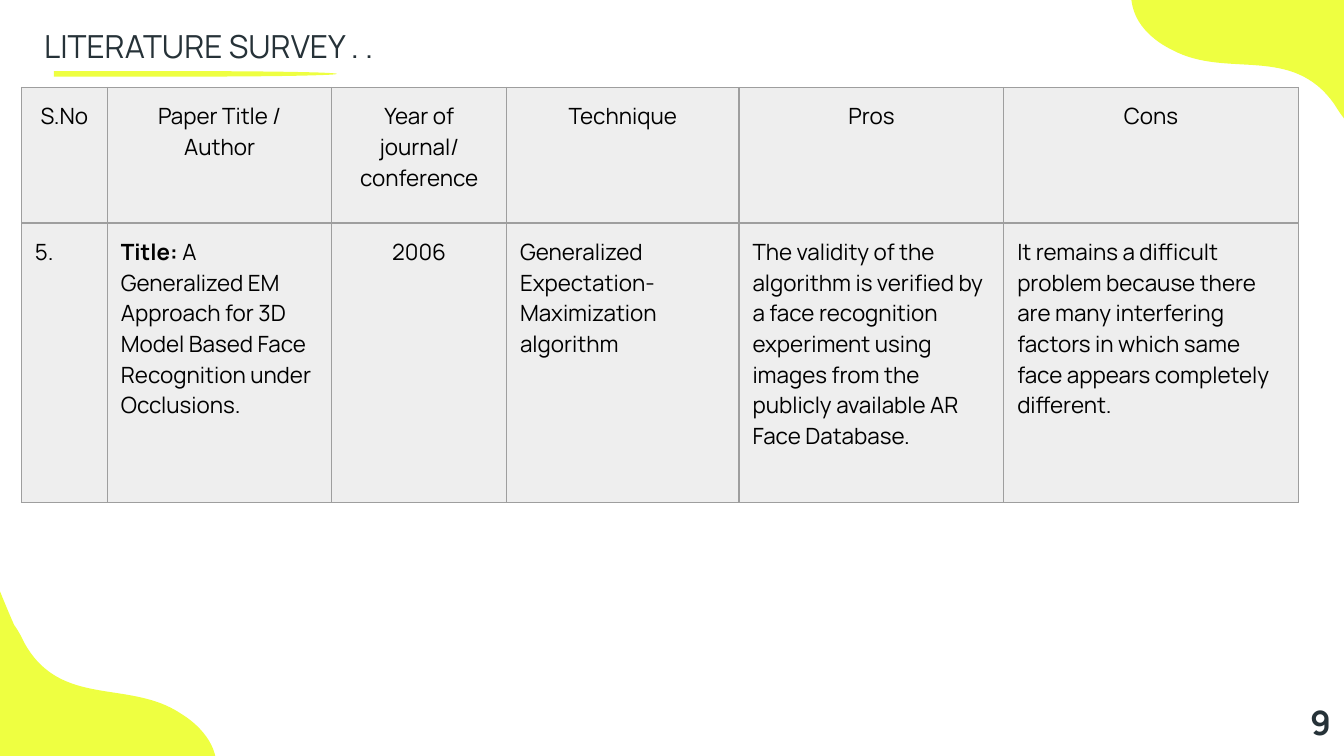
from lxml import etree
from pptx import Presentation
from pptx import util as u
from pptx.dml.color import RGBColor
from pptx.enum import shapes, text
from pptx.oxml.ns import qn

# The slide is a grid of 1000 columns; rows have the same pitch.
WIDTH = u.Inches(10)
HEIGHT = WIDTH * 9 // 16
UNIT = WIDTH // 1000

FONT = "Manrope"
LIME, INK, BLACK = "EEFF41", "263238", "000000"
CELL_FILL, CELL_LINE = "EEEEEE", "9E9E9E"
CENTER, LEFT = text.PP_ALIGN.CENTER, text.PP_ALIGN.LEFT

BLOB_SIZE = (459, 399)
BLOB_START = (367, 0)
# Each row is one curve: two control points and an end point.
BLOB_CURVES = [
    [(358, 0), (347, 3), (336, 10)],
    [(296, 33), (293, 88), (238, 91)],
    [(233, 91), (228, 91), (222, 92)],
    [(197, 91), (172, 88), (148, 88)],
    [(120, 88), (92, 92), (62, 113)],
    [(10, 146), (-1, 195), (9, 253)],
    [(27, 352), (99, 399), (183, 399)],
    [(219, 399), (255, 390), (291, 373)],
    [(406, 322), (458, 203), (433, 83)],
    [(425, 47), (402, 0), BLOB_START],
]

COLUMNS = [64, 167, 130, 173, 197, 219]
ROWS = [101, 208]
HEADINGS = ["S.No", "Paper Title / Author", "Year of journal/ conference",
            "Technique", "Pros", "Cons"]
PAPER = [
    "5.",
    [("Title: ", True),
     ("A Generalized EM Approach for 3D Model Based Face Recognition "
      "under Occlusions.", False)],
    "2006",
    "Generalized Expectation-Maximization algorithm",
    "The validity of the algorithm is verified by a face recognition experiment "
    "using images from the publicly available AR Face Database.",
    "It remains a difficult problem because there are many interfering factors "
    "in which same face appears completely different.",
]


def color(hex_string):
    return RGBColor.from_string(hex_string)


def grid(*values):
    """Turn grid units into slide lengths."""
    return [u.Emu(int(value * UNIT)) for value in values]


def write(frame, content, size=12, ink=BLACK, bold=False, align=LEFT):
    """Fill a text frame with a string or a list of (text, bold) runs."""
    frame.word_wrap = True
    frame.margin_left = frame.margin_right = u.Inches(0.1)
    frame.margin_top = frame.margin_bottom = u.Inches(0.1)
    paragraph = frame.paragraphs[0]
    paragraph.alignment = align
    for words, heavy in [(content, bold)] if isinstance(content, str) else content:
        run = paragraph.add_run()
        run.text = words
        run.font.name = FONT
        run.font.size = u.Pt(size)
        run.font.bold = heavy
        run.font.color.rgb = color(ink)


def paint(shape, fill):
    shape.shadow.inherit = False
    shape.fill.solid()
    shape.fill.fore_color.rgb = color(fill)
    shape.line.fill.background()


def add_blob(slide, left, top, rotation):
    width, height = BLOB_SIZE
    builder = slide.shapes.build_freeform(0, 0, scale=UNIT)
    builder.add_line_segments([(width, 0), (width, height), (0, height)])
    blob = builder.convert_to_shape(*grid(left, top))
    outline = blob._element.xpath(".//a:path")[0]
    for segment in list(outline):
        outline.remove(segment)
    for tag, points in [("a:moveTo", [BLOB_START]),
                        *(("a:cubicBezTo", curve) for curve in BLOB_CURVES)]:
        segment = etree.SubElement(outline, qn(tag))
        for x, y in points:
            etree.SubElement(segment, qn("a:pt"), x=str(x), y=str(y))
    etree.SubElement(outline, qn("a:close"))
    blob.rotation = rotation
    paint(blob, LIME)


def add_heading(slide, left, top, width, height):
    box = slide.shapes.add_textbox(*grid(left, top, width, height))
    write(box.text_frame, "LITERATURE SURVEY . .", size=17, ink=INK)
    underline = slide.shapes.add_shape(
        shapes.MSO_SHAPE.FLOWCHART_DELAY,
        *grid(left + 17, top + 43, width * 0.25, 4))
    paint(underline, LIME)


def add_page_number(slide, left, top, width, height):
    box = slide.shapes.add_textbox(*grid(left, top, width, height))
    write(box.text_frame, "9", size=18, ink=INK, bold=True)


def add_borders(cell):
    properties = cell._tc.get_or_add_tcPr()
    for position, side in enumerate(["a:lnL", "a:lnR", "a:lnT", "a:lnB"]):
        line = etree.Element(qn(side), w=str(u.Pt(0.75)))
        fill = etree.SubElement(line, qn("a:solidFill"))
        etree.SubElement(fill, qn("a:srgbClr"), val=CELL_LINE)
        properties.insert(position, line)


def add_survey_table(slide, left, top):
    frame = slide.shapes.add_table(len(ROWS), len(COLUMNS),
                                   *grid(left, top, sum(COLUMNS), sum(ROWS)))
    table = frame.table
    table.first_row = table.horz_banding = False
    for column, width in zip(table.columns, grid(*COLUMNS)):
        column.width = width
    for row, height in zip(table.rows, grid(*ROWS)):
        row.height = height
    for row_index, contents in enumerate([HEADINGS, PAPER]):
        for column_index, content in enumerate(contents):
            cell = table.cell(row_index, column_index)
            centered = row_index == 0 or column_index == 2
            write(cell.text_frame, content, align=CENTER if centered else LEFT)
            cell.margin_left = cell.margin_right = u.Inches(0.1)
            cell.margin_top = cell.margin_bottom = u.Inches(0.1)
            cell.fill.solid()
            cell.fill.fore_color.rgb = color(CELL_FILL)
            add_borders(cell)


def main():
    presentation = Presentation()
    presentation.slide_width, presentation.slide_height = WIDTH, HEIGHT
    slide = presentation.slides.add_slide(presentation.slide_layouts[6])
    add_blob(slide, -312, 320, rotation=63.7)
    add_blob(slide, 860, -172, rotation=238.1)
    add_heading(slide, 23, 10, 843, 67)
    add_page_number(slide, 965, 512, 43, 50)
    add_survey_table(slide, 16, 65)
    presentation.save("out.pptx")


if __name__ == "__main__":
    main()
